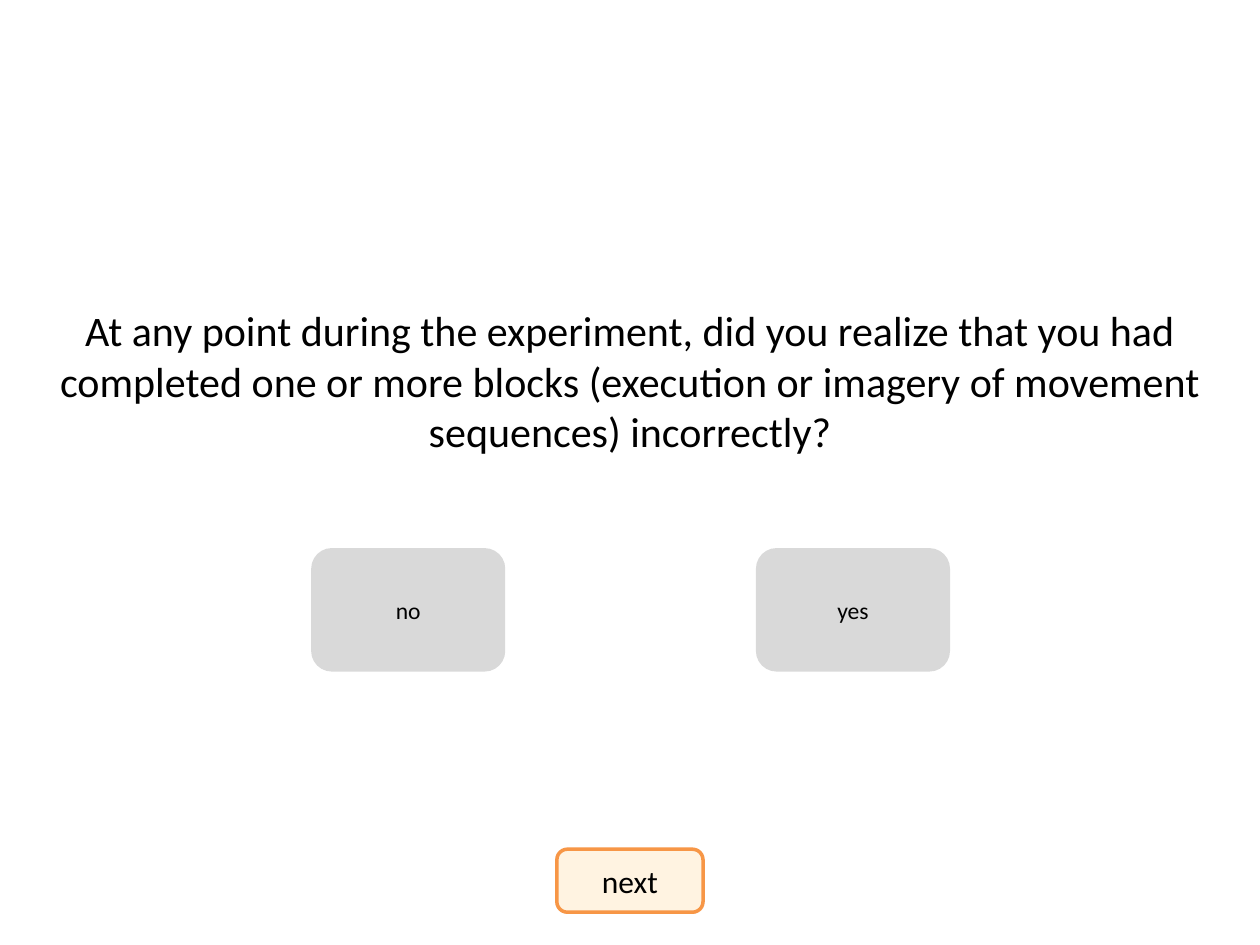
from pptx import Presentation
from pptx.dml.color import RGBColor
from pptx.enum.shapes import MSO_SHAPE
from pptx.enum.text import MSO_ANCHOR, PP_ALIGN
from pptx.util import Inches, Pt

COLORS = {
    "text": "000000",
    "answer": "D9D9D9",
    "next": "FFF3E1",
    "next_border": "F79646",
}


class QuestionSlide:
    font_name = "Calibri"

    def __init__(self, slide):
        self.slide = slide

    def color(self, name):
        return RGBColor.from_string(COLORS[name])

    def add_centered_text(self, frame, text, size):
        frame.word_wrap = True
        paragraph = frame.paragraphs[0]
        paragraph.alignment = PP_ALIGN.CENTER
        run = paragraph.add_run()
        run.text = text
        run.font.name = self.font_name
        run.font.size = Pt(size)
        run.font.color.rgb = self.color("text")

    def question(self, text, left, top, width, height, space_above):
        box = self.slide.shapes.add_textbox(
            Inches(left), Inches(top), Inches(width), Inches(height))
        box.text_frame.margin_top = Inches(space_above)
        self.add_centered_text(box.text_frame, text, 24)

    def button(self, text, left, top, width, height, fill, size, border=None):
        button = self.slide.shapes.add_shape(
            MSO_SHAPE.ROUNDED_RECTANGLE,
            Inches(left), Inches(top), Inches(width), Inches(height))
        button.shadow.inherit = False
        button.fill.solid()
        button.fill.fore_color.rgb = self.color(fill)
        if border:
            button.line.color.rgb = self.color(border)
            button.line.width = Pt(2)
        else:
            button.line.fill.background()
        button.text_frame.vertical_anchor = MSO_ANCHOR.MIDDLE
        self.add_centered_text(button.text_frame, text, size)
        return button

    def answer(self, text, left):
        """Add a borderless answer button without inner margins."""
        frame = self.button(text, left, 4.35, 1.54, 0.98, "answer", 13.5).text_frame
        frame.margin_left = frame.margin_right = 0
        frame.margin_top = frame.margin_bottom = 0


def main():
    presentation = Presentation()
    presentation.slide_width = Inches(10)
    presentation.slide_height = Inches(7.5)
    page = QuestionSlide(presentation.slides.add_slide(presentation.slide_layouts[6]))

    page.question(
        "At any point during the experiment, did you realize that you had "
        "completed one or more blocks (execution or imagery of movement "
        "sequences) incorrectly?",
        0.35, 1.42, 9.3, 2.52, space_above=1)
    page.button("next", 4.42, 6.74, 1.16, 0.5, "next", 18, border="next_border")
    for text, left in (("yes", 6), ("no", 2.47)):
        page.answer(text, left)

    presentation.save("out.pptx")


if __name__ == "__main__":
    main()
